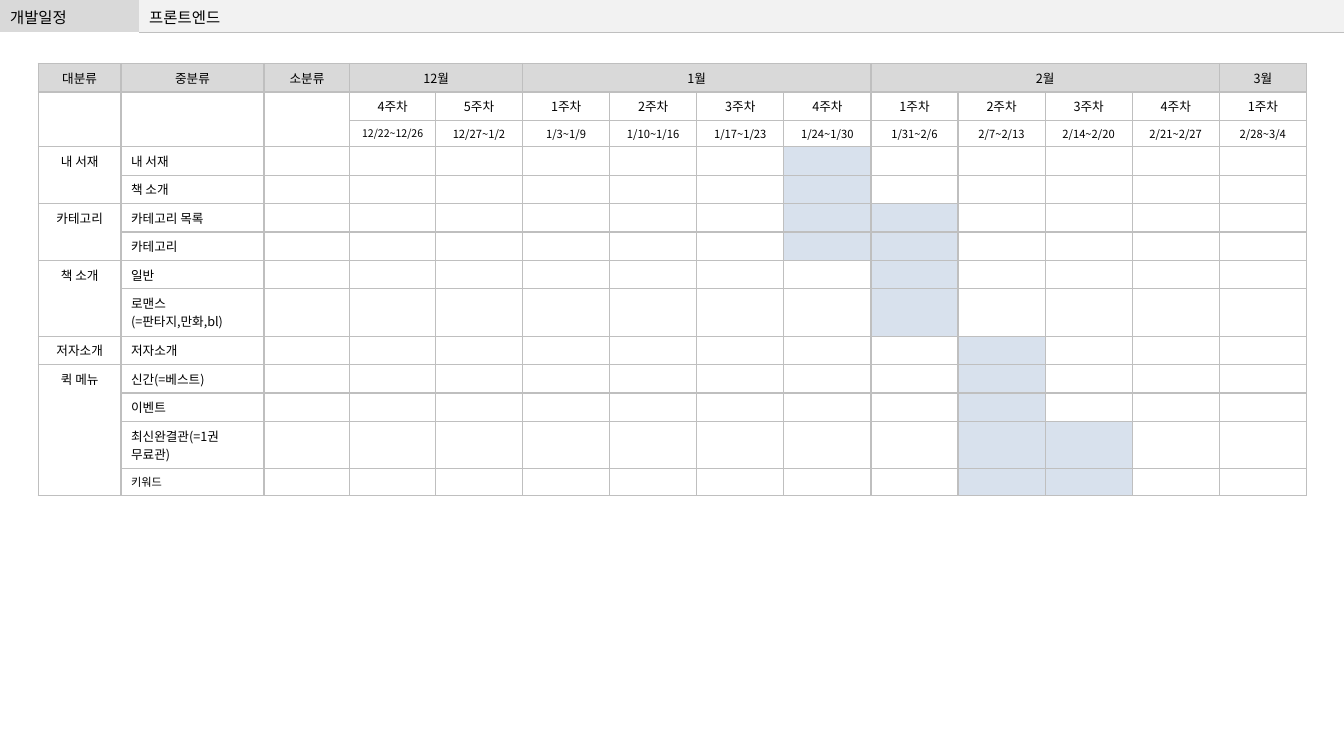
from lxml.etree import SubElement
from pptx import Presentation
from pptx.dml.color import RGBColor
from pptx.enum.text import PP_ALIGN
from pptx.oxml.ns import qn
from pptx.util import Inches, Pt

COLORS = {"text": "000000", "header": "D9D9D9", "bar": "F2F2F2", "line": "BFBFBF", "work": "D8E1ED"}
FONT = "Noto Sans CJK KR"
NO_STYLE = "{2D5ABB26-0587-4C30-8999-92F81FD0307C}"


def add_grid(page, left, top, widths, heights):
    frame = page.shapes.add_table(len(heights), len(widths), Inches(left), Inches(top),
                                  Inches(sum(widths)), Inches(sum(heights)))
    table = frame.table
    table.first_row = table.horz_banding = False
    table._tbl.tblPr.find(qn("a:tableStyleId")).text = NO_STYLE
    for column, width in zip(table.columns, widths):
        column.width = Inches(width)
    for row, height in zip(table.rows, heights):
        row.height = Inches(height)
    return table


def fill_cell(cell, text="", size=9, fill=None, align=PP_ALIGN.LEFT, sides="LRTB", line=1):
    properties = cell._tc.get_or_add_tcPr()
    for side in sides:
        border = SubElement(properties, qn(f"a:ln{side}"), w=str(Pt(line)))
        paint = SubElement(border, qn("a:solidFill"))
        SubElement(paint, qn("a:srgbClr"), val=COLORS["line"])
    if fill:
        cell.fill.solid()
        cell.fill.fore_color.rgb = RGBColor.from_string(COLORS[fill])
    else:
        cell.fill.background()
    for index, words in enumerate(text.split("\n")):
        para = cell.text_frame.add_paragraph() if index else cell.text_frame.paragraphs[0]
        para.alignment = align
        if not words:
            SubElement(para._p, qn("a:endParaRPr"), sz=str(size * 100))
            continue
        span = para.add_run()
        span.text = words
        span.font.size = Pt(size)
        span.font.color.rgb = RGBColor.from_string(COLORS["text"])
        span.font.name = FONT
        SubElement(span.font._element, qn("a:ea"), typeface=FONT)


deck = Presentation()
deck.slide_width, deck.slide_height = Inches(13.33), Inches(7.5)
page = deck.slides.add_slide(deck.slide_layouts[6])

title_bar = add_grid(page, 0, 0, [1.38, 11.95], [0.32])
fill_cell(title_bar.cell(0, 0), "개발일정", 11, "header", sides="")
fill_cell(title_bar.cell(0, 1), "프론트엔드", 11, "bar", sides="B", line=0.25)

categories = ["대분류", "중분류", "소분류"]
months = [("12월", 2), ("1월", 4), ("2월", 4), ("3월", 1)]
weeks = [
    ("4주차", "12/22~12/26"), ("5주차", "12/27~1/2"), ("1주차", "1/3~1/9"), ("2주차", "1/10~1/16"),
    ("3주차", "1/17~1/23"), ("4주차", "1/24~1/30"), ("1주차", "1/31~2/6"), ("2주차", "2/7~2/13"),
    ("3주차", "2/14~2/20"), ("4주차", "2/21~2/27"), ("1주차", "2/28~3/4"),
]
groups = [
    ("내 서재", [("내 서재", [5]), ("책 소개", [5])]),
    ("카테고리", [("카테고리 목록", [5, 6]), ("카테고리", [5, 6])]),
    ("책 소개", [("일반", [6]), ("로맨스\n(=판타지,만화,bl)", [6])]),
    ("저자소개", [("저자소개", [7])]),
    ("퀵 메뉴", [("신간(=베스트)", [7]), ("이벤트", [7]),
              ("최신완결관(=1권 무료관)", [7, 8]), ("키워드", [7, 8])]),
]

texts, sizes, fills, merges = {}, {}, {}, []
for column, name in enumerate(categories):
    texts[0, column] = name
    merges.append((1, column, 2, column))
column = len(categories)
for name, length in months:
    texts[0, column] = name
    merges.append((0, column, 0, column + length - 1))
    column += length
for column, (week, dates) in enumerate(weeks, len(categories)):
    texts[1, column] = week
    texts[2, column] = dates
    sizes[2, column] = 8
    fills[0, column] = "header"
sizes[2, len(categories)] = 7.5
for column in range(len(categories)):
    fills[0, column] = "header"

heights = [0.28, 0.28, 0.26]
for group, tasks in groups:
    first = len(heights)
    texts[first, 0] = group
    for task, busy_weeks in tasks:
        row = len(heights)
        texts[row, 1] = task
        for week in busy_weeks:
            fills[row, len(categories) + week] = "work"
        heights.append(0.47 if len(task) > 10 else 0.28)
    merges.append((first, 0, len(heights) - 1, 0))
sizes[len(heights) - 1, 1] = 8
heights[-1] = 0.26

widths = [0.82, 1.42, 0.85, 0.85] + [0.864] * 10
schedule = add_grid(page, 0.38, 0.63, widths, heights)
for row in range(len(heights)):
    for column in range(len(widths)):
        place = row, column
        align = PP_ALIGN.LEFT if row > 2 and column == 1 else PP_ALIGN.CENTER
        fill_cell(schedule.cell(row, column), texts.get(place, ""), sizes.get(place, 8),
                  fills.get(place), align) if place in sizes else fill_cell(
            schedule.cell(row, column), texts.get(place, ""),
            9 if place in texts else 8, fills.get(place), align)
for top, left, bottom, right in merges:
    if (top, left) != (bottom, right):
        schedule.cell(top, left).merge(schedule.cell(bottom, right))

deck.save("out.pptx")
